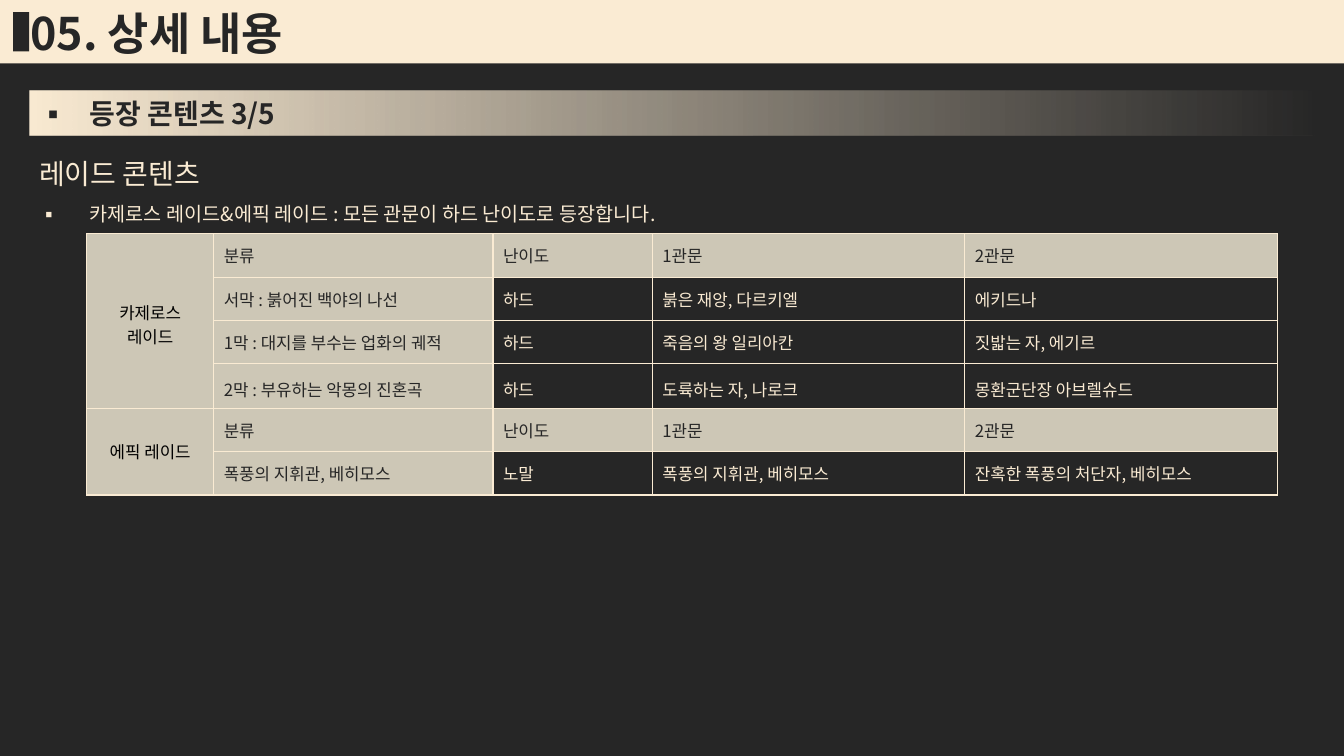
from lxml import etree
from pptx import Presentation, util as u
from pptx.dml.color import RGBColor
from pptx.enum import shapes, text
from pptx.oxml import parse_xml
from pptx.oxml.ns import qn

FONT = "Noto Sans CJK KR"
DARK, CREAM, SAND, BLACK = "262626", "FAEBD3", "CDC7B6", "000000"
NS = 'xmlns:a="http://schemas.openxmlformats.org/drawingml/2006/main"'
EDGE = 0.29
TABLE_LEFT = 0.86
COLUMNS = [1.26, 2.77, 1.58, 3.1, 3.1]
ROW = 0.43
HEADINGS = ["분류", "난이도", "1관문", "2관문"]
KAZEROS = [
    ["서막 : 붉어진 백야의 나선", "하드", "붉은 재앙, 다르키엘", "에키드나"],
    ["1막 : 대지를 부수는 업화의 궤적", "하드", "죽음의 왕 일리아칸", "짓밟는 자, 에기르"],
    ["2막 : 부유하는 악몽의 진혼곡", "하드", "도륙하는 자, 나로크", "몽환군단장 아브렐슈드"],
]
EPIC = [["폭풍의 지휘관, 베히모스", "노말", "폭풍의 지휘관, 베히모스",
         "잔혹한 폭풍의 처단자, 베히모스"]]


def color(hex_code):
    return RGBColor.from_string(hex_code)


def box(left, top, width, height):
    return [u.Inches(n) for n in (left, top, width, height)]


def add_run(paragraph, words, size, hex_code, bold=False):
    run = paragraph.add_run()
    run.text = words
    run.font.size, run.font.bold, run.font.name = u.Pt(size), bold, FONT
    run.font.color.rgb = color(hex_code)
    etree.SubElement(run.font._element, qn("a:ea"), typeface=FONT)


def add_bullet(paragraph):
    props = paragraph._p.get_or_add_pPr()
    props.set("marL", str(u.Inches(0.5)))
    props.set("indent", str(-u.Inches(0.5)))
    etree.SubElement(props, qn("a:buFont"), typeface=FONT)
    etree.SubElement(props, qn("a:buChar"), char="▪")


def add_bar(slide, area, hex_code):
    bar = slide.shapes.add_shape(shapes.MSO_SHAPE.RECTANGLE, *box(*area))
    bar.shadow.inherit = False
    bar.fill.solid()
    bar.fill.fore_color.rgb = color(hex_code)
    bar.line.fill.background()
    return bar


def fade_out(bar, hex_code):
    """Fade the fill from opaque on the left to clear on the right."""
    stops = "".join(
        f'<a:gs pos="{share}000"><a:srgbClr val="{hex_code}">'
        f'<a:alpha val="{alpha}000"/></a:srgbClr></a:gs>'
        for share, alpha in ((0, 0), (50, 50), (100, 100)))
    gradient = parse_xml(f'<a:gradFill {NS} rotWithShape="1"><a:gsLst>{stops}</a:gsLst>'
                         '<a:lin ang="10800000" scaled="1"/></a:gradFill>')
    props = bar._element.spPr
    props.replace(props.find(qn("a:solidFill")), gradient)


def add_text_area(slide, area, anchor):
    frame = slide.shapes.add_textbox(*box(*area)).text_frame
    frame.word_wrap = True
    frame.vertical_anchor = anchor
    return frame


def set_title(slide, words):
    title = slide.shapes.title
    title.left, title.top, title.width, title.height = box(0, 0, 4.37, 0.64)
    frame = title.text_frame
    frame.auto_size = text.MSO_AUTO_SIZE.NONE
    frame.word_wrap = False
    frame.margin_left = u.Inches(0.3)
    frame.vertical_anchor = text.MSO_ANCHOR.MIDDLE
    heading = frame.paragraphs[0]
    heading.alignment = text.PP_ALIGN.LEFT
    heading.line_spacing = 1.0
    heading.space_before = u.Pt(0)
    add_run(heading, words, 32, DARK, bold=True)
    slide.shapes._spTree.append(title._element)  # in front of the header bar


def style_cell(cell, fill):
    cell.vertical_anchor = text.MSO_ANCHOR.MIDDLE
    if fill:
        cell.fill.solid()
        cell.fill.fore_color.rgb = color(fill)
    else:
        cell.fill.background()
    for order, side in enumerate(("lnL", "lnR", "lnT", "lnB")):
        cell._tc.get_or_add_tcPr().insert(order, parse_xml(
            f'<a:{side} {NS} w="12700"><a:solidFill><a:srgbClr val="{CREAM}"/>'
            f'</a:solidFill></a:{side}>'))


def add_raid_table(slide, top, group, raids):
    """Add a table whose first column is one merged cell naming the group."""
    rows = [HEADINGS] + raids
    table = slide.shapes.add_table(
        len(rows), len(COLUMNS),
        *box(TABLE_LEFT, top, sum(COLUMNS), ROW * len(rows))).table
    table.first_row = table.horz_banding = False
    for column, width in zip(table.columns, COLUMNS):
        column.width = u.Inches(width)
    for r, words in enumerate(rows):
        table.rows[r].height = u.Inches(ROW)
        style_cell(table.cell(r, 0), SAND)
        for c, word in enumerate(words, 1):
            label = r == 0 or c == 1
            cell = table.cell(r, c)
            style_cell(cell, SAND if label else None)
            add_run(cell.text_frame.paragraphs[0], word, 12, DARK if label else CREAM)
    table.cell(0, 0).merge(table.cell(len(rows) - 1, 0))
    name = table.cell(0, 0).text_frame.paragraphs[0]
    name.alignment = text.PP_ALIGN.CENTER
    for i, line in enumerate(group):
        if i:
            name.add_line_break()
        add_run(name, line, 12, BLACK)


def main():
    deck = Presentation()
    deck.slide_width, deck.slide_height = u.Inches(13.33), u.Inches(7.5)
    slide = deck.slides.add_slide(deck.slide_layouts[5])
    slide.background.fill.solid()
    slide.background.fill.fore_color.rgb = color(DARK)

    fade_out(add_bar(slide, (EDGE, 0.9, 12.75, 0.44), CREAM), CREAM)
    add_bar(slide, (0, 0, 13.33, 0.63), CREAM)
    set_title(slide, "05. 상세 내용")
    add_bar(slide, (0.13, 0.12, 0.16, 0.39), DARK)

    section = add_text_area(slide, (EDGE, 0.9, 5.25, 0.44), text.MSO_ANCHOR.MIDDLE)
    add_bullet(section.paragraphs[0])
    add_run(section.paragraphs[0], "등장 콘텐츠 3/5", 20, DARK, bold=True)

    intro = add_text_area(slide, (EDGE, 1.34, 12.75, 0.92), text.MSO_ANCHOR.TOP)
    topic, summary = intro.paragraphs[0], intro.add_paragraph()
    topic.line_spacing = summary.line_spacing = 1.5
    add_run(topic, "레이드 콘텐츠", 20, CREAM)
    add_bullet(summary)
    add_run(summary, "카제로스 레이드&에픽 레이드 : 모든 관문이 하드 난이도로 등장합니다.", 14, CREAM)

    add_raid_table(slide, 2.32, ["카제로스", "레이드"], KAZEROS)
    add_raid_table(slide, 4.05, ["에픽 레이드"], EPIC)
    deck.save("out.pptx")


if __name__ == "__main__":
    main()
